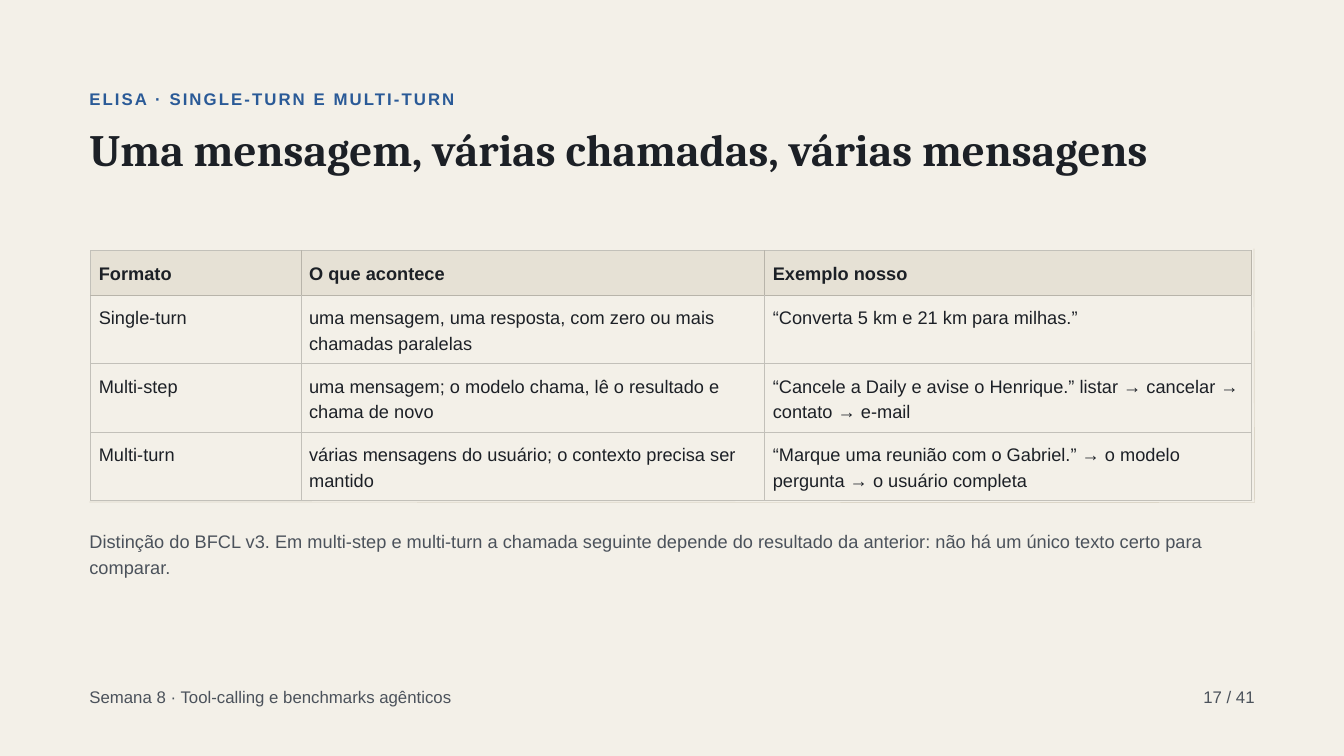
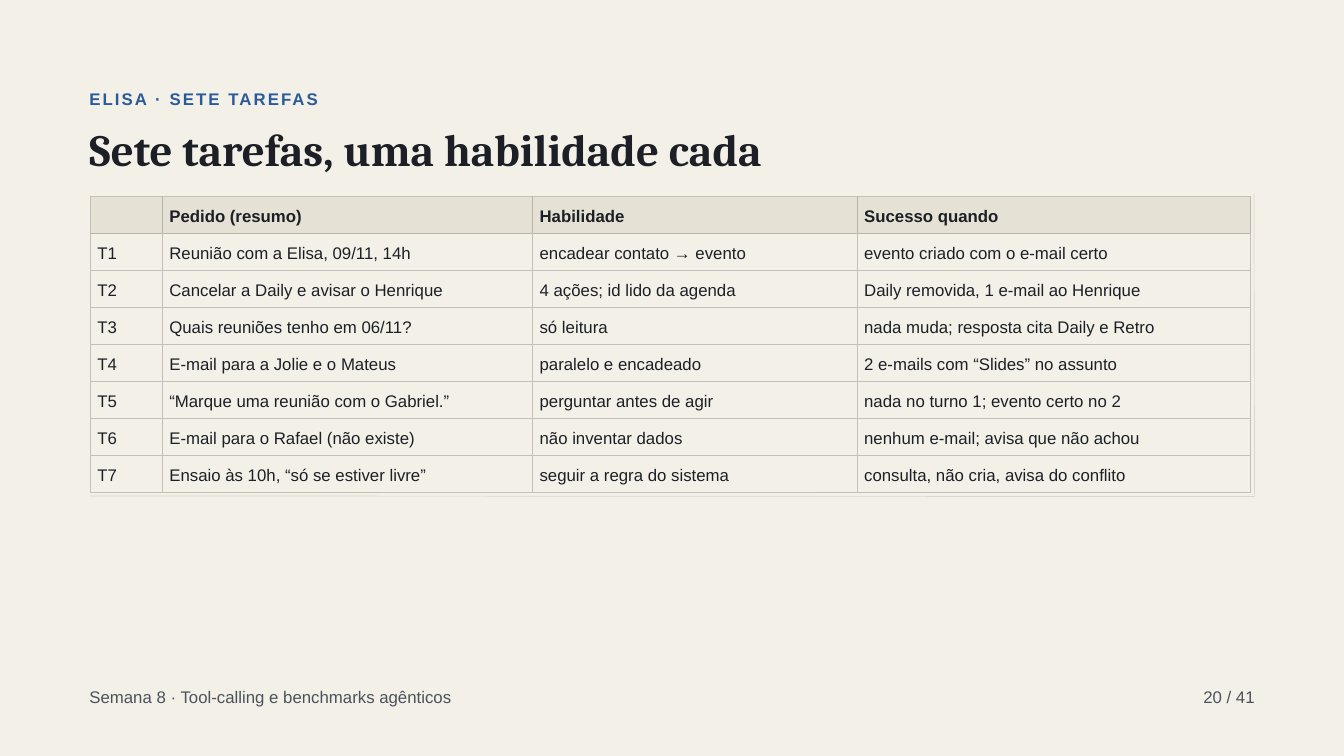
from lxml.etree import SubElement
from pptx import Presentation
from pptx.dml.color import RGBColor
from pptx.enum.shapes import MSO_CONNECTOR
from pptx.enum.text import MSO_AUTO_SIZE, PP_ALIGN
from pptx.oxml.ns import qn
from pptx.util import Inches, Pt

PAPER = "F3F0E8"
INK = "1C2026"
MUTED = "4B525B"
BLUE = "2A5A97"
HEADER_FILL = "E6E1D5"
GRID = "C2C0B9"
HEADER_GRID = "B8B4AA"
FRAME = "DCD6C8"
LEFT, RIGHT, TEXT_WIDTH = 1.33, 18.67, 17.85


def color(value):
    return RGBColor.from_string(value)


def write(frame, text, size=18, ink=MUTED, font="Arial", bold=False,
          leading=25.2, align=PP_ALIGN.LEFT, tracking=None):
    paragraph = frame.paragraphs[0]
    paragraph.alignment = align
    paragraph.line_spacing = Pt(leading)
    run = paragraph.add_run()
    run.text = text
    run.font.size = Pt(size)
    run.font.name = font
    run.font.bold = bold
    run.font.color.rgb = color(ink)
    if tracking:
        run.font._element.set("spc", str(round(tracking * 100)))


lessons = [
    {
        "kicker": "ELISA · SINGLE-TURN E MULTI-TURN",
        "title": "Uma mensagem, várias chamadas, várias mensagens",
        "title_height": 1.46,
        "page": "17 / 41",
        "note": "Distinção do BFCL v3. Em multi-step e multi-turn a chamada seguinte "
                "depende do resultado da anterior: não há um único texto certo para comparar.",
        "top": 3.73,
        "frame_bottom": 7.48,
        "columns": [3.13, 6.9, 7.24],
        "row_heights": [0.66, 1.02, 1.02, 1.02],
        "padding": 0.12,
        "size": 19.5,
        "leading": 27.3,
        "rows": [
            ["Formato", "O que acontece", "Exemplo nosso"],
            ["Single-turn",
             "uma mensagem, uma resposta, com zero ou mais chamadas paralelas",
             "“Converta 5 km e 21 km para milhas.”"],
            ["Multi-step",
             "uma mensagem; o modelo chama, lê o resultado e chama de novo",
             "“Cancele a Daily e avise o Henrique.” listar → cancelar → contato → e-mail"],
            ["Multi-turn",
             "várias mensagens do usuário; o contexto precisa ser mantido",
             "“Marque uma reunião com o Gabriel.” → o modelo pergunta → o usuário completa"],
        ],
    },
    {
        "kicker": "ELISA · SETE TAREFAS",
        "title": "Sete tarefas, uma habilidade cada",
        "title_height": 0.72,
        "page": "20 / 41",
        "note": None,
        "top": 2.92,
        "frame_bottom": 7.39,
        "columns": [1.07, 5.51, 4.83, 5.85],
        "row_heights": [0.54] * 8,
        "padding": 0.1,
        "size": 18,
        "leading": 25.2,
        "rows": [
            ["", "Pedido (resumo)", "Habilidade", "Sucesso quando"],
            ["T1", "Reunião com a Elisa, 09/11, 14h", "encadear contato → evento",
             "evento criado com o e-mail certo"],
            ["T2", "Cancelar a Daily e avisar o Henrique", "4 ações; id lido da agenda",
             "Daily removida, 1 e-mail ao Henrique"],
            ["T3", "Quais reuniões tenho em 06/11?", "só leitura",
             "nada muda; resposta cita Daily e Retro"],
            ["T4", "E-mail para a Jolie e o Mateus", "paralelo e encadeado",
             "2 e-mails com “Slides” no assunto"],
            ["T5", "“Marque uma reunião com o Gabriel.”", "perguntar antes de agir",
             "nada no turno 1; evento certo no 2"],
            ["T6", "E-mail para o Rafael (não existe)", "não inventar dados",
             "nenhum e-mail; avisa que não achou"],
            ["T7", "Ensaio às 10h, “só se estiver livre”", "seguir a regra do sistema",
             "consulta, não cria, avisa do conflito"],
        ],
    },
]

deck = Presentation()
deck.slide_width = Inches(20)
deck.slide_height = Inches(11.25)

for lesson in lessons:
    slide = deck.slides.add_slide(deck.slide_layouts[6])
    slide.background.fill.solid()
    slide.background.fill.fore_color.rgb = color(PAPER)

    captions = [
        (lesson["kicker"], (LEFT, 1.27, TEXT_WIDTH, 0.45),
         {"ink": BLUE, "bold": True, "tracking": 2.2}),
        (lesson["title"], (LEFT, 1.88, TEXT_WIDTH, lesson["title_height"]),
         {"size": 48, "ink": INK, "font": "Cambria", "bold": True, "leading": 52.8}),
        ("Semana 8 · Tool-calling e benchmarks agênticos", (LEFT, 10.17, 11.8, 0.45), {}),
        (lesson["page"], (16.5, 10.17, 2.17, 0.45), {"align": PP_ALIGN.RIGHT}),
    ]
    if lesson["note"]:
        captions.append((lesson["note"], (LEFT, 7.82, TEXT_WIDTH, 0.9),
                         {"size": 19.5, "leading": 28.3}))
    for text, place, style in captions:
        frame = slide.shapes.add_textbox(*map(Inches, place)).text_frame
        frame.word_wrap = True
        frame.auto_size = MSO_AUTO_SIZE.SHAPE_TO_FIT_TEXT
        frame.margin_left = frame.margin_top = frame.margin_right = frame.margin_bottom = 0
        write(frame, text, **style)

    bottom = lesson["frame_bottom"]
    for start in [(RIGHT - 0.01, lesson["top"] - 0.03), (LEFT, bottom - 0.01)]:
        edge = slide.shapes.add_connector(
            MSO_CONNECTOR.STRAIGHT, *map(Inches, (*start, RIGHT, bottom)))
        edge.line.color.rgb = color(FRAME)
        edge.line.width = Pt(0.75)
        SubElement(edge._element.spPr, qn("a:effectLst"))

    rows, columns, heights = lesson["rows"], lesson["columns"], lesson["row_heights"]
    grid = slide.shapes.add_table(
        len(rows), len(columns), Inches(1.35), Inches(lesson["top"]),
        Inches(sum(columns)), Inches(sum(heights))).table
    grid.first_row = grid.horz_banding = False
    for column, width in zip(grid.columns, columns):
        column.width = Inches(width)
    for row, height in zip(grid.rows, heights):
        row.height = Inches(height)

    for r, texts in enumerate(rows):
        header = r == 0
        for c, text in enumerate(texts):
            cell = grid.cell(r, c)
            padding = Inches(lesson["padding"])
            cell.margin_left = cell.margin_top = padding
            cell.margin_right = cell.margin_bottom = padding
            write(cell.text_frame, text, size=lesson["size"], ink=INK, bold=header,
                  leading=lesson["leading"])
            borders = {"L": header and c > 0, "R": header, "T": r == 1, "B": header}
            properties = cell._tc.get_or_add_tcPr()
            for side, strong in borders.items():
                border = SubElement(properties, qn(f"a:ln{side}"), w=str(Pt(1)))
                paint = SubElement(border, qn("a:solidFill"))
                SubElement(paint, qn("a:srgbClr"), val=HEADER_GRID if strong else GRID)
            if header:
                cell.fill.solid()
                cell.fill.fore_color.rgb = color(HEADER_FILL)
            else:
                cell.fill.background()

deck.save("out.pptx")
